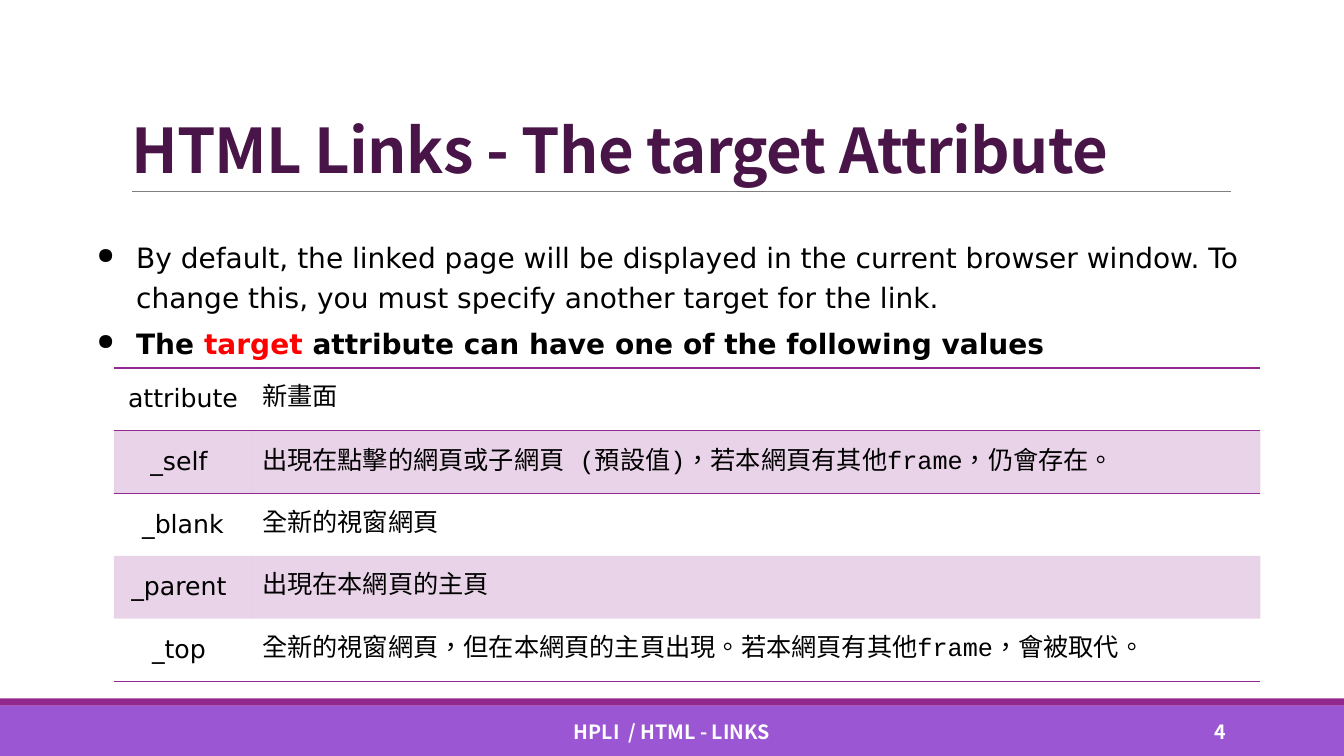
from lxml.etree import SubElement
from pptx import Presentation
from pptx.dml.color import RGBColor
from pptx.enum.lang import MSO_LANGUAGE_ID
from pptx.enum.shapes import MSO_CONNECTOR, MSO_SHAPE
from pptx.enum.text import MSO_ANCHOR, MSO_AUTO_SIZE, PP_ALIGN
from pptx.oxml import parse_xml
from pptx.oxml.ns import nsdecls, qn
from pptx.util import Pt

PX = 9144
BLACK = RGBColor(0x00, 0x00, 0x00)
WHITE = RGBColor(0xFF, 0xFF, 0xFF)
RED = RGBColor(0xFF, 0x00, 0x00)
GRAY = RGBColor(0x80, 0x80, 0x80)
PLUM = RGBColor(0x49, 0x14, 0x47)
PURPLE = RGBColor(0x92, 0x27, 0x8F)
VIOLET = RGBColor(0x9B, 0x57, 0xD3)
HEAD, SANS, MONO = "Noto Sans CJK SC", "DejaVu Sans", "Courier New"
NO_STYLE = "{2D5ABB26-0587-4C30-8999-92F81FD0307C}"

BULLETS = [
    [("By default, the linked page will be displayed in the current browser window. "
      "To change this, you must specify another target for the link.", BLACK, False)],
    [("The ", BLACK, True), ("target", RED, True),
     (" attribute can have one of the following values", BLACK, True)],
]
TARGETS = [
    ("attribute", [("新畫面", MONO)]),
    ("_self ", [("出現在點擊的網頁或子網頁 (", MONO), ("預設值", SANS),
                (")，若本網頁有其他frame，仍會存在。", MONO)]),
    ("_blank", [("全新的視窗網頁", MONO)]),
    ("_parent ", [("出現在本網頁的主頁", MONO)]),
    ("_top ", [("全新的視窗網頁，但在本網頁的主頁出現。若本網頁有其他frame，會被取代。", MONO)]),
]


def px(*lengths):
    return [n * PX for n in lengths]


def style(r, font, size, color, bold=False):
    r.font.name, r.font.size, r.font.bold = font, Pt(size), bold
    r.font.color.rgb = color
    SubElement(r.font._element, qn("a:ea")).set("typeface", font)


def add_run(p, text, *look):
    r = p.add_run()
    r.text = text
    style(r, *look)
    return r


def add_bar(s, x, y, w, h, color):
    sp = s.shapes.add_shape(MSO_SHAPE.RECTANGLE, *px(x, y, w, h))
    sp.shadow.inherit = False
    sp.fill.solid()
    sp.fill.fore_color.rgb = color
    sp.line.fill.background()


def add_label(s, x, y, w, h, text, align):
    tf = s.shapes.add_textbox(*px(x, y, w, h)).text_frame
    tf.word_wrap = True
    tf.vertical_anchor = MSO_ANCHOR.MIDDLE
    tf.text = text
    p = tf.paragraphs[0]
    p.alignment = align
    style(p.runs[0], HEAD, 14, WHITE, True)


def add_footer(s, x, y, w, h):
    add_bar(s, x, y + 7, w, h - 7, VIOLET)
    add_bar(s, x, y, w, 7, PURPLE)
    add_label(s, x + 403, y + 13, 527, 40, "HPLI  / HTML - LINKS", PP_ALIGN.CENTER)
    add_label(s, x + 1083, y + 13, 143, 40, "4", PP_ALIGN.RIGHT)


def add_title(s, x, y, w, h):
    rule = s.shapes.add_connector(MSO_CONNECTOR.STRAIGHT,
                                  *px(x + 11, y + h, x + w + 1, y + h))
    rule.line.color.rgb = GRAY
    rule.line.width = Pt(0.5)
    SubElement(rule._element.spPr, qn("a:effectLst"))
    sp = s.shapes.title
    sp.left, sp.top, sp.width, sp.height = px(x, y, w, h)
    tf = sp.text_frame
    tf.text = "HTML Links - The target Attribute"
    tf.auto_size = MSO_AUTO_SIZE.NONE
    tf.vertical_anchor = MSO_ANCHOR.BOTTOM
    p = tf.paragraphs[0]
    p.alignment = PP_ALIGN.LEFT
    p.line_spacing = 0.85
    style(p.runs[0], HEAD, 44, PLUM, True)
    p.runs[0].font._element.set("spc", "-50")


def add_bullets(s, x, y, w, h):
    tf = s.shapes.add_textbox(*px(x, y, w, h)).text_frame
    tf.word_wrap = True
    tf.margin_left = tf.margin_right = 0
    for i, parts in enumerate(BULLETS):
        p = tf.add_paragraph() if i else tf.paragraphs[0]
        p.line_spacing = 1.2
        p.space_before = p.space_after = Pt(2)
        pPr = p._p.get_or_add_pPr()
        pPr.set("marL", str(39 * PX))
        pPr.set("indent", str(-39 * PX))
        clr = SubElement(pPr, qn("a:buClr"))
        SubElement(clr, qn("a:srgbClr")).set("val", str(BLACK))
        SubElement(pPr, qn("a:buSzPct")).set("val", "80000")
        SubElement(pPr, qn("a:buChar")).set("char", "●")
        for text, color, bold in parts:
            add_run(p, text, SANS, 20, color, bold)


def format_cell(cell, row):
    cell.vertical_anchor = MSO_ANCHOR.MIDDLE
    tcPr = cell._tc.get_or_add_tcPr()
    if row % 2:
        cell.fill.solid()
        cell.fill.fore_color.rgb = PURPLE
        clr = tcPr.find(qn("a:solidFill")).find(qn("a:srgbClr"))
        SubElement(clr, qn("a:alpha")).set("val", "20000")
    else:
        cell.fill.background()
    lined = {"lnT": row in (0, 1), "lnB": row in (0, len(TARGETS) - 1)}
    sides = [side for side, shown in lined.items() if shown]
    for i, side in enumerate(sides):
        tcPr.insert(i, parse_xml(
            f'<a:{side} {nsdecls("a")} w="{Pt(1)}"><a:solidFill>'
            f'<a:srgbClr val="{PURPLE}"/></a:solidFill></a:{side}>'))


def add_target_table(s, x, y, w, h):
    tbl = s.shapes.add_table(len(TARGETS), 2, *px(x, y, w, h)).table
    tbl._tbl.tblPr.find(qn("a:tableStyleId")).text = NO_STYLE
    tbl.first_row = tbl.horz_banding = False
    tbl.columns[0].width, tbl.columns[1].width = px(137, w - 137)
    for row, (name, meaning) in enumerate(TARGETS):
        for col, parts in enumerate(([(name, SANS)], meaning)):
            cell = tbl.cell(row, col)
            format_cell(cell, row)
            p = cell.text_frame.paragraphs[0]
            p.alignment = PP_ALIGN.LEFT if col else PP_ALIGN.CENTER
            for text, font in parts:
                r = add_run(p, text, font, 18, BLACK)
                if col:
                    r.font.language_id = MSO_LANGUAGE_ID.TRADITIONAL_CHINESE


def main():
    prs = Presentation()
    prs.slide_width, prs.slide_height = px(1333, 750)
    s = prs.slides.add_slide(prs.slide_layouts[5])
    add_footer(s, 0, 693, 1333, 57)
    add_title(s, 120, 31, 1100, 159)
    add_bullets(s, 96, 227, 1208, 403)
    add_target_table(s, 113, 365, 1137, 311)
    prs.save("out.pptx")


if __name__ == "__main__":
    main()
